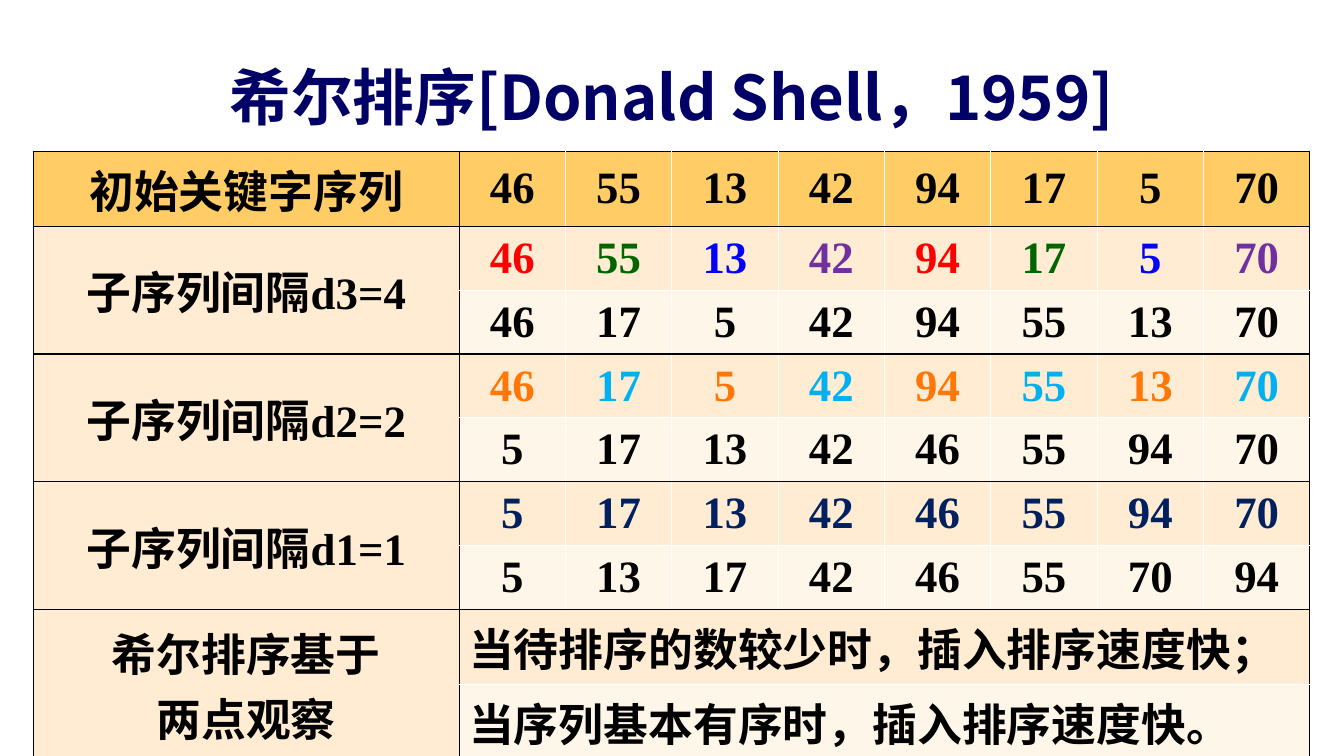
"""Build a slide that traces Shell sort pass by pass in a table."""
from lxml.etree import SubElement
from pptx import Presentation
from pptx.dml.color import RGBColor
from pptx.enum.text import MSO_ANCHOR as ANCHOR, PP_ALIGN as ALIGN
from pptx.oxml.ns import qn
from pptx.util import Cm, Pt

CJK = "Noto Sans CJK SC"
SERIF = "Times New Roman"
COLORS = {
    "title": "000066", "black": "000000", "white": "FFFFFF",
    "header": "FFCC66", "band": "FFECD3", "light": "FFF6EA",
    "red": "FF0000", "green": "006600", "blue": "0000FF", "purple": "7030A0",
    "orange": "FF7706", "sky": "00B0F0", "navy": "002060",
}
LABELS = ["初始关键字序列", "子序列间隔d3=4", "子序列间隔d2=2", "子序列间隔d1=1",
          "希尔排序基于\n两点观察"]
LABEL_ROWS = [0, 1, 3, 5, 7]
SEQUENCES = [
    ([46, 55, 13, 42, 94, 17, 5, 70], ["black"]),
    ([46, 55, 13, 42, 94, 17, 5, 70], ["red", "green", "blue", "purple"]),
    ([46, 17, 5, 42, 94, 55, 13, 70], ["black"]),
    ([46, 17, 5, 42, 94, 55, 13, 70], ["orange", "sky"]),
    ([5, 17, 13, 42, 46, 55, 94, 70], ["black"]),
    ([5, 17, 13, 42, 46, 55, 94, 70], ["navy"]),
    ([5, 13, 17, 42, 46, 55, 70, 94], ["black"]),
]
NOTES = ["当待排序的数较少时，插入排序速度快；", "当序列基本有序时，插入排序速度快。"]
ROWS, COLS = len(SEQUENCES) + len(NOTES), 9


def rgb(name):
    return RGBColor.from_string(COLORS[name])


def write(tf, text, size, font, color, align=ALIGN.CENTER):
    tf.text = text
    for p in tf.paragraphs:
        p.alignment = align
        for r in p.runs:
            r.font.size, r.font.bold, r.font.name = Pt(size), True, font
            r.font.color.rgb = rgb(color)
            SubElement(r._r.get_or_add_rPr(), qn("a:ea"), typeface=CJK)


def add_title(s, text):
    box = s.shapes.add_textbox(Cm(2.54), Cm(1.47), Cm(28.78), Cm(1.91))
    tf = box.text_frame
    tf.word_wrap = True
    tf.vertical_anchor = ANCHOR.MIDDLE
    write(tf, text, 44, CJK, "title")


def set_borders(cell, **sides):
    tcPr = cell._tc.get_or_add_tcPr()
    for side, is_black in sides.items():
        ln = SubElement(tcPr, qn(f"a:ln{side}"), w=str(Pt(1)))
        fill = SubElement(ln, qn("a:solidFill"))
        color = COLORS["black" if is_black else "white"]
        SubElement(fill, qn("a:srgbClr"), val=color)


def style_cell(cell, row, col):
    is_label = col == 0
    set_borders(
        cell,
        L=col <= 1,
        R=is_label or col == COLS - 1 or row >= len(SEQUENCES),
        T=is_label or row in LABEL_ROWS,
        B=is_label or row % 2 == 0,
    )
    cell.fill.solid()
    if row == 0:
        fill = "header"
    else:
        fill = "band" if is_label or row % 2 else "light"
    cell.fill.fore_color.rgb = rgb(fill)
    cell.vertical_anchor = ANCHOR.MIDDLE


def add_sort_table(s):
    frame = s.shapes.add_table(ROWS, COLS, Cm(0.84), Cm(3.81), Cm(32.17), Cm(14.67))
    table = frame.table
    for col, column in enumerate(table.columns):
        column.width = Cm(2.68 if col else 10.73)
    for row, line in enumerate(table.rows):
        line.height = Cm(1.5 if 0 < row < len(SEQUENCES) else 1.89)
        for col in range(COLS):
            style_cell(table.cell(row, col), row, col)
    for row, label in zip(LABEL_ROWS, LABELS):
        cell = table.cell(row, 0)
        if row:
            cell.merge(table.cell(row + 1, 0))
        write(cell.text_frame, label, 32, SERIF, "black")
    for row, (keys, cycle) in enumerate(SEQUENCES):
        for i, key in enumerate(keys):
            tf = table.cell(row, i + 1).text_frame
            write(tf, str(key), 32, SERIF, cycle[i % len(cycle)])
    for row, note in enumerate(NOTES, len(SEQUENCES)):
        cell = table.cell(row, 1)
        cell.merge(table.cell(row, COLS - 1))
        write(cell.text_frame, note, 32, SERIF, "black", ALIGN.LEFT)


def main():
    prs = Presentation()
    prs.slide_width, prs.slide_height = Cm(33.87), Cm(19.05)
    s = prs.slides.add_slide(prs.slide_layouts[6])
    add_title(s, "希尔排序[Donald Shell，1959]")
    add_sort_table(s)
    prs.save("out.pptx")


if __name__ == "__main__":
    main()
